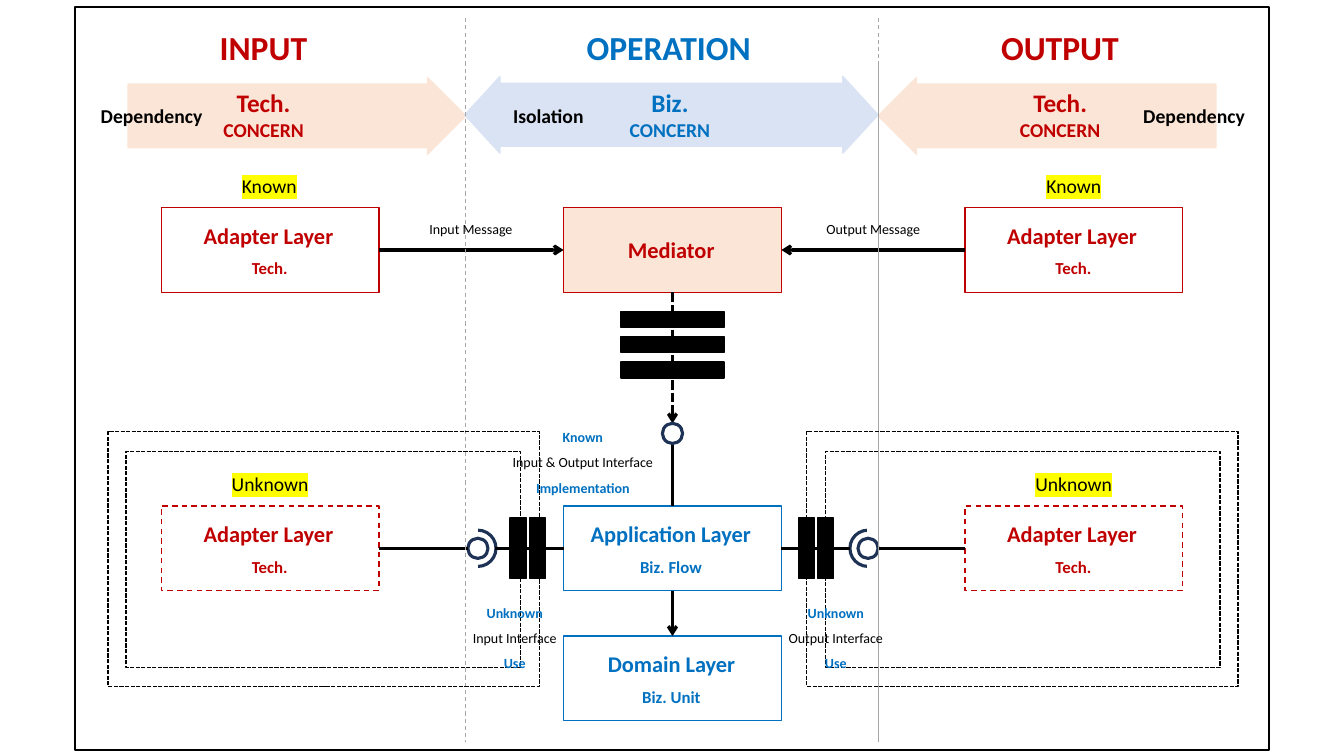
from dataclasses import dataclass
from typing import NamedTuple, Optional

from lxml.etree import SubElement
from pptx import Presentation
from pptx.dml.color import RGBColor
from pptx.enum.dml import MSO_LINE
from pptx.enum.shapes import MSO_CONNECTOR, MSO_SHAPE
from pptx.enum.text import MSO_AUTO_SIZE, PP_ALIGN
from pptx.oxml.ns import qn
from pptx.util import Emu, Pt

PX = 9144
TOP, LEFT, BOTTOM, RIGHT = range(4)


@dataclass(frozen=True)
class Theme:
    font: str = "Calibri"
    red: str = "C00000"
    blue: str = "0070C0"
    navy: str = "1E3256"
    black: str = "000000"
    white: str = "FFFFFF"
    grey: str = "A6A6A6"
    peach: str = "FBE5D6"
    sky: str = "DAE3F3"
    yellow: str = "FFFF00"
    heading: int = 24
    concern: int = 18
    layer: int = 16
    body: int = 14
    detail: int = 12
    note: int = 10


THEME = Theme()


class Span(NamedTuple):
    text: str
    size: int
    color: str = THEME.black
    bold: bool = False
    highlight: Optional[str] = None


class Label(NamedTuple):
    spans: list[Span]
    left: int
    top: int
    width: int
    height: int
    centered: bool = False
    spacing: float = 1.0


class Figure(NamedTuple):
    left: int
    top: int
    width: int
    height: int
    line: str = THEME.black
    fill: Optional[str] = None
    kind: MSO_SHAPE = MSO_SHAPE.RECTANGLE
    weight: float = 1
    dash: Optional[MSO_LINE] = None
    adjustments: tuple[float, ...] = ()
    rotation: int = 0


class Layer(NamedTuple):
    title: str
    title_width: int
    detail: str
    detail_width: int
    left: int
    top: int
    color: str
    fill: Optional[str] = None
    dash: Optional[MSO_LINE] = None


class Link(NamedTuple):
    start: tuple[int, int]
    end: tuple[int, int]
    color: str = THEME.black
    weight: float = 2.25
    dash: Optional[MSO_LINE] = None
    arrow: bool = False
    source: Optional[tuple[object, int]] = None
    target: Optional[tuple[object, int]] = None


def draw_label(page, label: Label) -> None:
    box = page.shapes.add_textbox(*(Emu(value * PX) for value in label[1:5]))
    frame = box.text_frame
    frame.word_wrap = False
    frame.auto_size = MSO_AUTO_SIZE.SHAPE_TO_FIT_TEXT
    frame.text = "\n".join(span.text for span in label.spans)
    for para, span in zip(frame.paragraphs, label.spans):
        para.alignment = PP_ALIGN.CENTER if label.centered else PP_ALIGN.LEFT
        para.line_spacing = label.spacing
        run = para.runs[0]
        run.font.size = Pt(span.size)
        run.font.bold = span.bold
        run.font.color.rgb = RGBColor.from_string(span.color)
        if span.highlight:
            highlight = SubElement(run.font._element, qn("a:highlight"))
            SubElement(highlight, qn("a:srgbClr"), val=span.highlight)
        run.font.name = THEME.font


def style_line(line, color: str, weight: float, dash: Optional[MSO_LINE]) -> None:
    line.color.rgb = RGBColor.from_string(color)
    line.width = Pt(weight)
    if dash:
        line.dash_style = dash


def draw_figure(page, figure: Figure):
    shape = page.shapes.add_shape(figure.kind, *(Emu(value * PX) for value in figure[:4]))
    shape.shadow.inherit = False
    shape.rotation = figure.rotation
    for index, value in enumerate(figure.adjustments):
        shape.adjustments[index] = value
    if figure.fill:
        shape.fill.solid()
        shape.fill.fore_color.rgb = RGBColor.from_string(figure.fill)
    else:
        shape.fill.background()
    style_line(shape.line, figure.line, figure.weight, figure.dash)
    return shape


def draw_layer(page, layer: Layer):
    width, height = 216, 84
    shape = draw_figure(page, Figure(layer.left, layer.top, width, height, layer.color,
                                     layer.fill, dash=layer.dash))
    for text, text_width, size, offset, text_height in (
        (layer.title, layer.title_width, THEME.layer, 9 if layer.detail else 23, 37),
        (layer.detail, layer.detail_width, THEME.detail, 45, 30),
    ):
        if text:
            draw_label(page, Label([Span(text, size, layer.color, True)],
                                   layer.left + (width - text_width) // 2,
                                   layer.top + offset, text_width, text_height))
    return shape


def draw_link(page, link: Link) -> None:
    connector = page.shapes.add_connector(
        MSO_CONNECTOR.STRAIGHT, *(Emu(value * PX) for value in link.start + link.end))
    if link.source:
        connector.begin_connect(*link.source)
    if link.target:
        connector.end_connect(*link.target)
    style_line(connector.line, link.color, link.weight, link.dash)
    properties = connector.element.spPr
    if link.arrow:
        SubElement(properties.find(qn("a:ln")), qn("a:tailEnd"), type="arrow")
    SubElement(properties, qn("a:effectLst"))


def draw_operation(page) -> None:
    for arc, mask, ring in ((843, 861, 851), (456, 433, 464)):
        draw_figure(page, Figure(arc, 526, 36, 36, THEME.navy, kind=MSO_SHAPE.OVAL, weight=2.25))
        draw_figure(page, Figure(mask, 513, 40, 63, THEME.white, THEME.white))
        draw_figure(page, Figure(ring, 534, 20, 20, THEME.navy, kind=MSO_SHAPE.OVAL, weight=2.25))

    adapter = ("Adapter Layer", 151, "Tech.", 56)
    unknown_in, unknown_out = (
        draw_layer(page, Layer(*adapter, left, 502, THEME.red, THEME.white, MSO_LINE.DASH))
        for left in (160, 957))
    known_in, known_out = (
        draw_layer(page, Layer(*adapter, left, 206, THEME.red)) for left in (160, 957))
    application = draw_layer(page, Layer("Application Layer", 181, "Biz. Flow", 83,
                                         559, 502, THEME.blue, THEME.white))
    domain = draw_layer(page, Layer("Domain Layer", 148, "Biz. Unit", 79,
                                    559, 631, THEME.blue, THEME.white))
    mediator = draw_layer(page, Layer("Mediator", 107, "", 0, 559, 206, THEME.red, THEME.peach))

    for link in (
        Link((775, 544), (843, 544), source=(application, RIGHT)),
        Link((491, 544), (559, 544), target=(application, LEFT)),
        Link((376, 544), (464, 544), source=(unknown_in, RIGHT)),
        Link((957, 544), (871, 544), source=(unknown_out, LEFT)),
        Link((667, 502), (667, 440), source=(application, TOP)),
        Link((667, 586), (667, 631), arrow=True, source=(application, BOTTOM), target=(domain, TOP)),
        Link((376, 248), (559, 248), arrow=True, source=(known_in, RIGHT), target=(mediator, LEFT)),
        Link((957, 248), (775, 248), arrow=True, source=(known_out, LEFT), target=(mediator, RIGHT)),
        Link((667, 290), (667, 420), dash=MSO_LINE.SQUARE_DOT, arrow=True, source=(mediator, BOTTOM)),
    ):
        draw_link(page, link)
    draw_figure(page, Figure(657, 420, 20, 20, THEME.navy, THEME.white, MSO_SHAPE.OVAL, 2.25))


def draw_backdrop(page) -> None:
    draw_figure(page, Figure(74, 7, 1185, 737, weight=1.5))
    for left, rotation in ((871, 180), (127, 0)):
        draw_figure(page, Figure(left, 77, 335, 76, THEME.peach, THEME.peach, MSO_SHAPE.RIGHT_ARROW,
                                 adjustments=(0.83, 0.5), rotation=rotation))
    draw_figure(page, Figure(461, 76, 410, 76, THEME.sky, THEME.sky, MSO_SHAPE.LEFT_RIGHT_ARROW,
                             adjustments=(0.82, 0.46)))
    for left, top in ((462, 18), (871, 18), (871, 65)):
        draw_link(page, Link((left, top), (left, 736), THEME.grey, 0.75, MSO_LINE.DASH))


def draw_barriers(page) -> None:
    for row in range(3):
        draw_figure(page, Figure(616, 309 + 25 * row, 102, 16, fill=THEME.black))
    for left in (506, 525, 792, 811):
        draw_figure(page, Figure(left, 514, 16, 60, fill=THEME.black))
    for outer, inner in ((107, 125), (800, 819)):
        draw_figure(page, Figure(outer, 428, 428, 253, dash=MSO_LINE.SQUARE_DOT))
        draw_figure(page, Figure(inner, 448, 391, 214, dash=MSO_LINE.SQUARE_DOT))


def draw_labels(page) -> None:
    for text, left, width, color in (("INPUT", 208, 108, THEME.red), ("OPERATION", 572, 184, THEME.blue),
                                     ("OUTPUT", 983, 138, THEME.red)):
        draw_label(page, Label([Span(text, THEME.heading, color, True)], left, 22, width, 50))
    for text, left, color in (("Tech.", 211, THEME.red), ("Biz.", 614, THEME.blue), ("Tech.", 1001, THEME.red)):
        draw_label(page, Label([Span(text, THEME.concern, color, True),
                                Span("CONCERN", THEME.body, color, True)], left, 82, 101, 64, True))
    for text, left, width in (("Dependency", 90, 122), ("Isolation", 499, 91), ("Dependency", 1124, 122)):
        draw_label(page, Label([Span(text, THEME.body, bold=True)], left, 98, width, 34))
    for text, left, top, width in (("Known", 230, 168, 75), ("Known", 1028, 168, 75),
                                   ("Unknown", 220, 463, 97), ("Unknown", 1017, 463, 97)):
        draw_label(page, Label([Span(text, THEME.body, highlight=THEME.yellow)], left, top, width, 34))
    for text, left, width in (("Input Message", 415, 104), ("Output Message", 809, 114)):
        draw_label(page, Label([Span(text, THEME.note)], left, 214, width, 27, True))
    for state, interface, role, left, top, width in (
        ("Known", "Input & Output Interface", "Implementation", 497, 412, 162),
        ("Unknown", "Input Interface", "Use", 458, 586, 105),
        ("Unknown", "Output Interface", "Use", 771, 586, 116),
    ):
        draw_label(page, Label([Span(state, THEME.note, THEME.blue, True), Span(interface, THEME.note),
                                Span(role, THEME.note, THEME.blue, True)], left, top, width, 86, True, 1.5))


def main() -> None:
    deck = Presentation()
    deck.slide_width, deck.slide_height = Emu(1333 * PX), Emu(750 * PX)
    page = deck.slides.add_slide(deck.slide_layouts[6])
    for draw in (draw_operation, draw_backdrop, draw_barriers, draw_labels):
        draw(page)
    deck.save("out.pptx")


if __name__ == "__main__":
    main()
